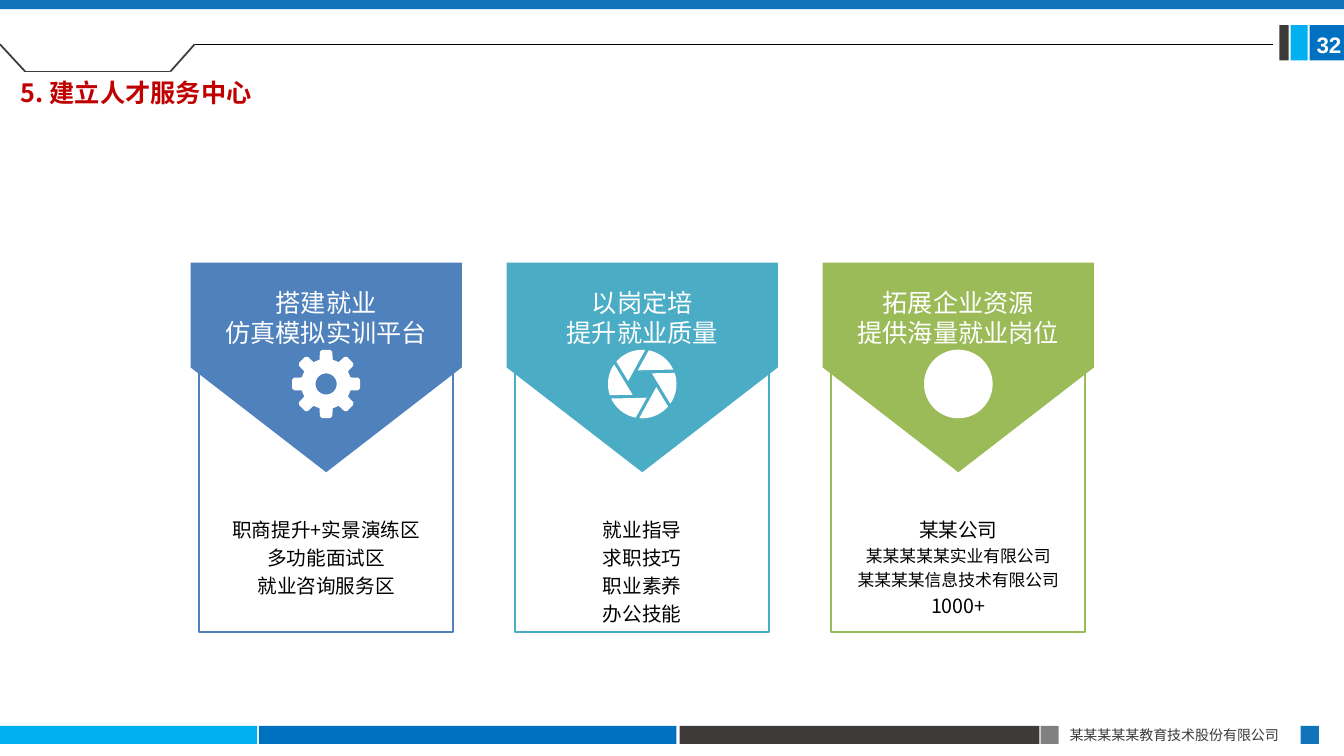
"""Build the talent service centre slide with three service cards."""
from math import cos, radians, sin

from lxml import etree
from pptx import Presentation
from pptx import util as u
from pptx.dml.color import RGBColor
from pptx.enum import shapes, text
from pptx.oxml.ns import qn

CELL = u.Inches(0.01)
COLUMNS, ROWS = 1333, 750
CJK = "Noto Sans CJK SC"
BLUE, SKY, DARK, BAND, WHITE = "0070C0", "00B0F0", "3E3A39", "1074BB", "FFFFFF"


def paint(fill, colour):
    fill.solid()
    fill.fore_color.rgb = RGBColor.from_string(colour)


def write(shape, lines, colour, frame_format, paragraph_format, font_format):
    """Fill a shape with (text, size) lines."""
    frame = shape.text_frame
    for name, value in frame_format.items():
        setattr(frame, name, value)
    for index, (words, size) in enumerate(lines):
        paragraph = frame.paragraphs[0] if index == 0 else frame.add_paragraph()
        for name, value in paragraph_format.items():
            setattr(paragraph, name, value)
        run = paragraph.add_run()
        run.text = words
        run.font.size = u.Pt(size)
        for name, value in font_format.items():
            setattr(run.font, name, value)
        paint(run.font.fill, colour)
        east_asian = etree.SubElement(run.font._element, qn("a:ea"))
        east_asian.set("typeface", font_format["name"])


presentation = Presentation()
presentation.slide_width = COLUMNS * CELL
presentation.slide_height = ROWS * CELL
slide = presentation.slides.add_slide(presentation.slide_layouts[6])

bars = [
    (0, 720, 255, 18, SKY),
    (257, 720, 414, 18, BLUE),
    (674, 720, 357, 18, DARK),
    (1032, 720, 18, 18, "808080"),
    (1290, 720, 18, 18, BAND),
    (1299, 25, 34, 35, BLUE),
    (1280, 25, 17, 35, SKY),
    (1269, 25, 9, 35, DARK),
    (0, 0, COLUMNS, 9, BAND),
]
for *box, colour in bars:
    bar = slide.shapes.add_shape(
        shapes.MSO_SHAPE.RECTANGLE, *(length * CELL for length in box))
    bar.shadow.inherit = False
    bar.line.fill.background()
    paint(bar.fill, colour)

header_points = [(0, 44), (25, 71), (169, 71), (193, 44), (1263, 44)]
header_strokes = [(DARK, 1.25)] * 3 + [("000000", 0.5)]
for start, end, (colour, width) in zip(header_points, header_points[1:], header_strokes):
    connector = slide.shapes.add_connector(
        shapes.MSO_CONNECTOR.STRAIGHT, *(length * CELL for length in start + end))
    paint(connector.line.fill, colour)
    connector.line.width = u.Pt(width)
    etree.SubElement(connector._element.spPr, qn("a:effectLst"))

labels = [
    ((1051, 716, 240, 27), "某某某某某教育技术股份有限公司", 10, DARK, CJK, False),
    ((1296, 26, 50, 37), "32", 16, WHITE, "Arial", True),
    ((11, 72, 252, 40), "5. 建立人才服务中心", 18, "C00000", CJK, True),
]
for box, words, size, colour, font, bold in labels:
    label = slide.shapes.add_textbox(*(length * CELL for length in box))
    write(label, [(words, size)], colour, {"word_wrap": True}, {},
          {"name": font, "bold": bold})

radius = 34
gear_profile = [(-15, 25), (-11, 32.5), (-7, 34), (7, 34), (11, 32.5), (15, 25)]
gear = [
    [(tooth + angle, reach) for tooth in range(0, 360, 45) for angle, reach in gear_profile],
    [(angle, 10.5) for angle in range(360, 0, -10)],
]
aperture = [
    [(turn - 168, 14.3)] + [(turn + angle, radius) for angle in range(-139, -84, 6)]
    for turn in range(0, 360, 60)
]
disc = [[(angle, radius) for angle in range(0, 360, 4)]]

cards = [
    ("4F81BD", ["搭建就业", "仿真模拟实训平台"],
     [("职商提升+实景演练区", 14), ("多功能面试区", 14), ("就业咨询服务区", 14)], gear),
    ("4BACC6", ["以岗定培", "提升就业质量"],
     [("就业指导", 14), ("求职技巧", 14), ("职业素养", 14), ("办公技能", 14)], aperture),
    ("9BBB59", ["拓展企业资源", "提供海量就业岗位"],
     [("某某公司", 14), ("某某某某某实业有限公司", 12),
      ("某某某某信息技术有限公司", 12), ("1000+", 14)], disc),
]
first_centre, card_pitch, icon_row = 323.5, 313.5, 381
panel_width, panel_height, plate_width, plate_height = 252, 354, 208, 269
panel_frame = {"word_wrap": True, "vertical_anchor": text.MSO_ANCHOR.TOP,
               "margin_top": 236 * CELL}
plate_frame = {"word_wrap": False, "vertical_anchor": text.MSO_ANCHOR.TOP,
               "margin_left": 24 * CELL}
centred = {"alignment": text.PP_ALIGN.CENTER}

for index, (colour, heading, details, icon) in enumerate(cards):
    centre = first_centre + index * card_pitch

    panel = slide.shapes.add_shape(
        shapes.MSO_SHAPE.RECTANGLE, int((centre - panel_width / 2) * CELL), 273 * CELL,
        panel_width * CELL, panel_height * CELL)
    panel.shadow.inherit = False
    panel.fill.background()
    paint(panel.line.fill, colour)
    panel.line.width = u.Pt(1.5)
    write(panel, details, "000000", panel_frame, {**centred, "line_spacing": 1.2},
          {"name": CJK})

    plate = slide.shapes.add_shape(
        shapes.MSO_SHAPE.PENTAGON, int((centre - plate_width / 2) * CELL), 230 * CELL,
        plate_width * CELL, plate_height * CELL)
    plate.rotation = 90
    plate.shadow.inherit = False
    plate.line.fill.background()
    paint(plate.fill, colour)
    write(plate, [(line, 18) for line in heading], WHITE, plate_frame, centred,
          {"name": CJK})
    plate.text_frame._txBody.bodyPr.set("vert", "vert270")

    contours = [
        [(round((centre + reach * cos(radians(angle))) * CELL),
          round((icon_row + reach * sin(radians(angle))) * CELL)) for angle, reach in contour]
        for contour in icon
    ]
    builder = slide.shapes.build_freeform(*contours[0][0])
    builder.add_line_segments(contours[0][1:])
    for contour in contours[1:]:
        builder.move_to(*contour[0])
        builder.add_line_segments(contour[1:])
    symbol = builder.convert_to_shape()
    symbol.shadow.inherit = False
    symbol.line.fill.background()
    paint(symbol.fill, WHITE)

presentation.save("out.pptx")
